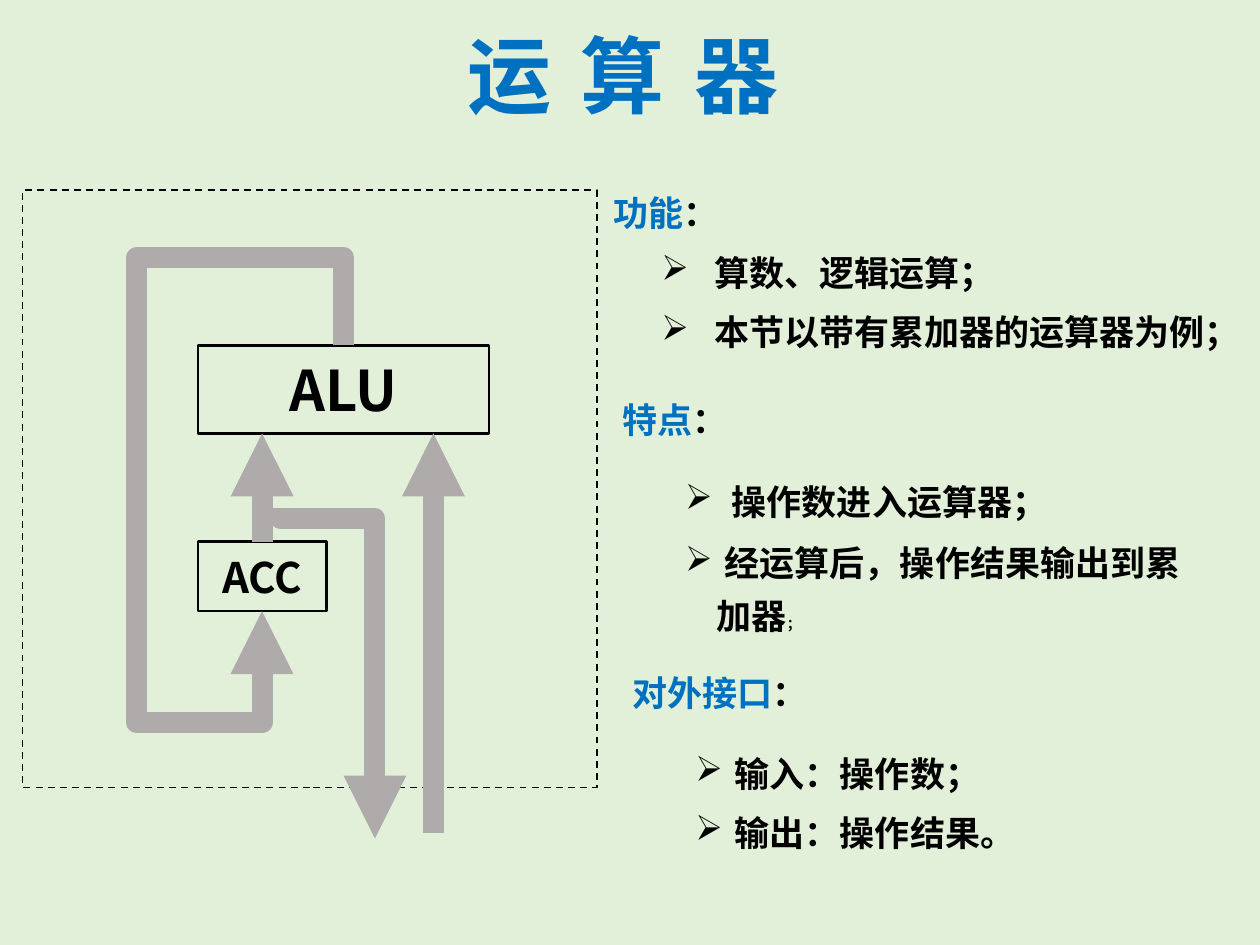
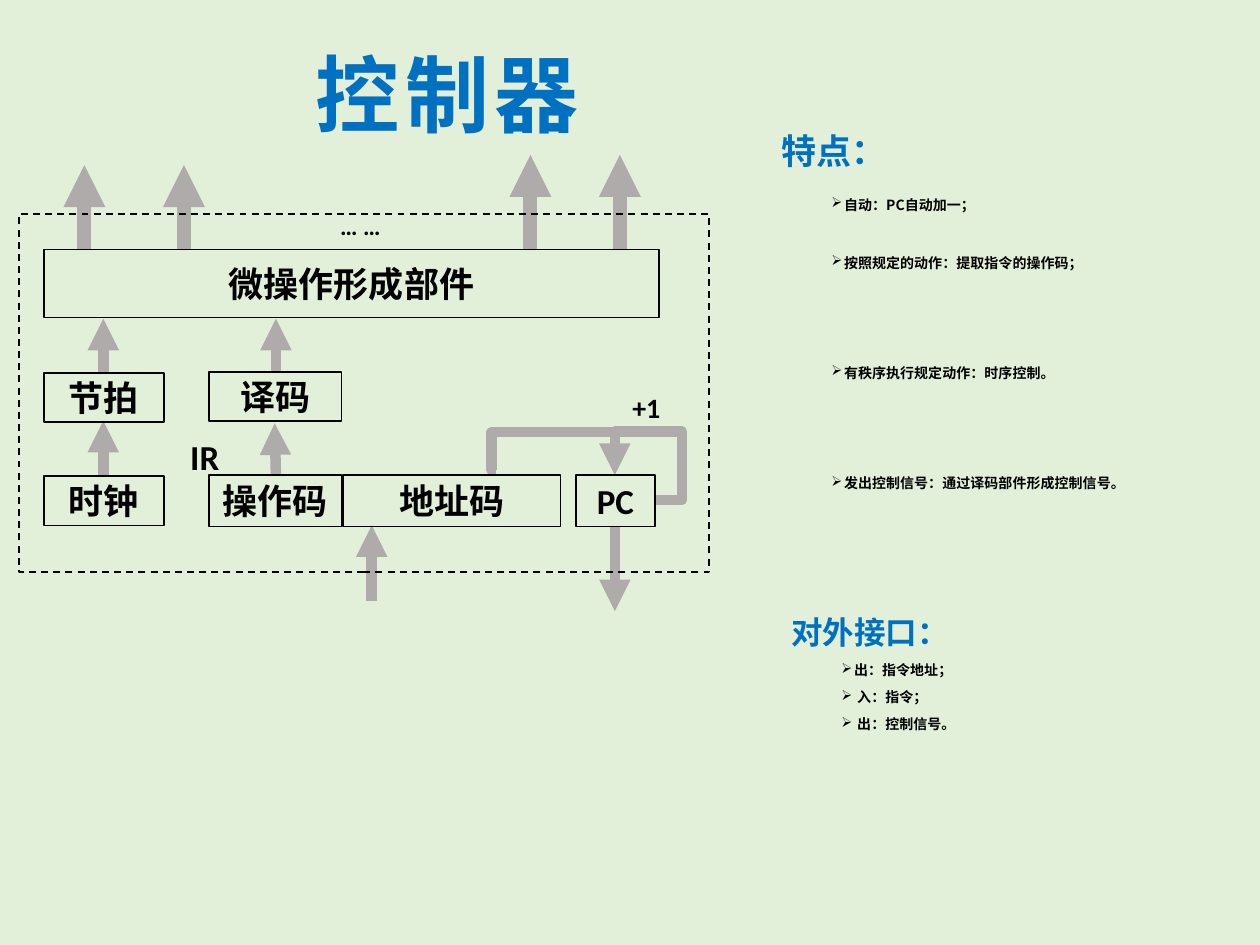
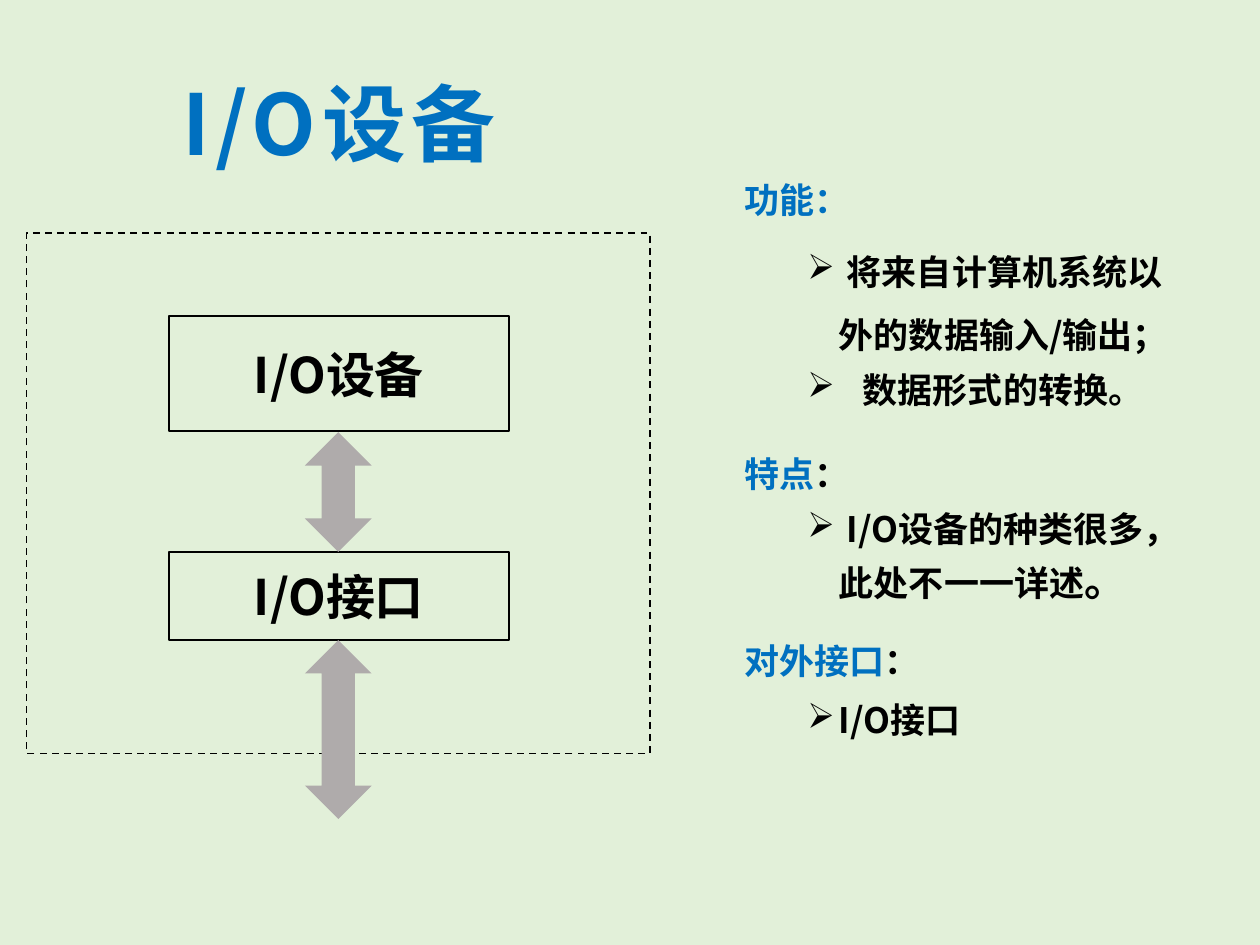
from lxml.etree import SubElement
from pptx import Presentation
from pptx.dml.color import RGBColor
from pptx.enum.dml import MSO_LINE_DASH_STYLE as Dash
from pptx.enum.shapes import MSO_CONNECTOR as Conn, MSO_SHAPE as Shape
from pptx.enum.text import MSO_ANCHOR as Anchor, PP_ALIGN as Align
from pptx.oxml import parse_xml
from pptx.oxml.ns import nsdecls, qn
from pptx.util import Inches, Pt

BACK, BLUE, BLACK, GRAY, PALE = "E2F0D9", "0070C0", "000000", "AFABAB", "F5F7FB"
CJK, LATIN = "Noto Sans CJK SC", "Calibri"


def head(text, size=20, colon="", line=0.9, after=0):
    runs = [(text, size, BLUE)] + ([(colon, size, BLACK)] if colon else [])
    return dict(runs=runs, line=line, after=after)


def item(text, size=20, line=1.1, before=5, left=0.75, hang=0.25, gap=0.0, end=None):
    runs = [(text, size, BLACK)] + ([end + (BLACK,)] if end else [])
    return dict(runs=runs, line=line, before=before, left=left + gap, hang=hang + gap)


def alu_item(text):
    return item(text, line=Pt(30), before=4, left=0.61, hang=0.23, gap=0.19)


def small_item(text, line=1.3, before=12):
    return item(text, 8, line, before, 0.5, 0.1)


ALU = dict(
    title=("运 算 器", (3.47, 0.2, 2.95, 0.87)),
    notes=[
        ((4.77, 1.39, 5.04, 2.03), [
            head("功能", colon="：", line=Pt(30)),
            alu_item("算数、逻辑运算；"),
            alu_item("本节以带有累加器的运算器为例；")]),
        ((4.84, 3.03, 4.86, 1.83), [
            head("特点", colon="：", line=Pt(30), after=12),
            item("操作数进入运算器；", line=Pt(30), gap=0.12),
            item(" 经运算后，操作结果输出到累加器", line=Pt(30), end=("；", 8))]),
        ((4.92, 5.32, 3.96, 1.82), [
            head("对外接口", colon="：", after=12),
            item(" 输入：操作数；", line=1.2),
            item(" 输出：操作结果。", line=1.2)]),
    ],
    frame=(0.18, 1.51, 4.56, 4.74),
    boxes=[("ACC", (1.57, 4.3, 1.02, 0.55), 24), ("ALU", (1.57, 2.74, 2.31, 0.7), 32)],
    arrows=[((2.08, 4.3), (2.08, 3.44)), ((3.44, 6.61), (3.44, 3.44))],
    elbows=[
        ("bentConnector5", (1.35, 3.47, 2.11, 0.65), 270, "HV", (-0.33, 2.53, 1.42), True),
        ("bentConnector3", (1.29, 4.97, 2.62, 0.75), 270, "H", (0.03,), True)],
)

CONTROL = dict(
    title=("控制器", (1.75, 0.36, 3.6, 0.85)),
    notes=[
        ((6.1, 1.02, 3.62, 0.42), [head("特点：")]),
        ((6.1, 1.47, 3.62, 0.44), [small_item("自动：PC自动加一；")]),
        ((6.1, 1.93, 3.62, 0.96), [small_item("按照规定的动作：提取指令的操作码；")]),
        ((6.1, 2.8, 3.62, 0.88), [small_item("有秩序执行规定动作：时序控制。")]),
        ((6.1, 3.68, 3.62, 0.96), [small_item("发出控制信号：通过译码部件形成控制信号。")]),
        ((6.18, 4.85, 3.46, 1.81), [head("对外接口：", 18)] + [
            small_item(t, 1.1, 5) for t in ("出：指令地址；", " 入：指令；", " 出：控制信号。")]),
    ],
    frame=(0.15, 1.7, 5.48, 2.84),
    boxes=[
        ("微操作形成部件", (0.35, 1.98, 4.88, 0.54)),
        ("节拍", (0.35, 2.96, 0.95, 0.39)),
        ("时钟", (0.35, 3.78, 0.95, 0.39)),
        ("译码", (1.66, 2.95, 1.05, 0.39)),
        ("操作码", (1.66, 3.77, 1.05, 0.41)),
        ("地址码", (2.72, 3.77, 1.73, 0.41)),
        ("PC", (4.57, 3.77, 0.63, 0.41))],
    labels=[
        ("… …", (2.36, 1.66, 1, 0.27), 14),
        ("+1", (4.63, 3.1, 1, 0.27), 16),
        ("IR", (1.35, 3.43, 0.55, 0.39), 20)],
    signals=[(0.67, 1.31), (1.46, 1.31), (4.21, 1.23), (4.92, 1.23)],
    arrows=[
        ((0.82, 2.96), (0.82, 2.53)),
        ((0.82, 3.77), (0.82, 3.34)),
        ((2.19, 2.96), (2.19, 2.53)),
        ((2.19, 3.77), (2.18, 3.36)),
        ((2.95, 4.77), (2.95, 4.17)),
        ((4.88, 4.18), (4.88, 4.85))],
    elbows=[
        ("bentConnector4", (4.88, 3.77, 0.31, 0.2), 0, "HV", (-0.72, 2.72), True),
        ("bentConnector3", (3.94, 3.43, 0.94, 0.3), 0, "V", (-0.04,), False)],
)

DEVICES = dict(
    title=("I/O设备", (0.89, 0.59, 3.6, 0.85)),
    notes=[
        ((5.81, 1.2, 3.77, 2.46), [
            head("功能：", line=1.5),
            item(" 将来自计算机系统以外的数据输入/输出；", line=1.5),
            item("数据形式的转换。", gap=0.19)]),
        ((5.81, 3.58, 3.77, 1.43), [
            head("特点", colon="："),
            item(" I/O设备的种类很多，此处不一一详述", end=("。", 24))]),
        ((5.81, 5.06, 3.77, 1.82), [
            head("对外接口", colon="："),
            item("I/O接口", line=1.2)]),
    ],
    frame=(0.21, 1.85, 4.95, 4.13),
    boxes=[("I/O设备", (1.34, 2.51, 2.7, 0.91)), ("I/O接口", (1.34, 4.38, 2.7, 0.7))],
    links=[(2.42, 3.43, 0.53, 0.95), (2.42, 5.08, 0.53, 1.42)],
)


def rgb(color):
    return RGBColor.from_string(color)


def inches(box):
    return [Inches(v) for v in box]


def add_run(p, text, size, color, font=CJK):
    r = p.add_run()
    r.text = text
    f = r.font
    f.size, f.bold, f.name = Pt(size), True, font
    f.color.rgb = rgb(color)
    r._r.rPr.find(qn("a:latin")).addnext(
        parse_xml(f'<a:ea {nsdecls("a")} typeface="{CJK}"/>'))
    return r


def center_text(sp, text, size, color=BLACK, font=CJK):
    tf = sp.text_frame
    tf.word_wrap = True
    tf.margin_left = tf.margin_right = 0
    tf.vertical_anchor = Anchor.MIDDLE
    p = tf.paragraphs[0]
    p.alignment = Align.CENTER
    return add_run(p, text, size, color, font)


def add_title(slide, text, box):
    sp = slide.shapes.add_textbox(*inches(box))
    r = center_text(sp, text, 48, BLUE)
    sp.text_frame.paragraphs[0].line_spacing = 0.9
    rPr = r._r.rPr
    rPr.set("spc", "300")
    rPr.insert(0, parse_xml(
        f'<a:ln {nsdecls("a")} w="15875"><a:solidFill><a:srgbClr val="{PALE}"/></a:solidFill></a:ln>'))
    rPr.find(qn("a:solidFill")).addnext(parse_xml(
        f'<a:effectLst {nsdecls("a")}><a:outerShdw blurRad="25400" dist="25400" dir="2700000">'
        f'<a:srgbClr val="{BLUE}"><a:alpha val="40000"/></a:srgbClr></a:outerShdw></a:effectLst>'))


def add_notes(slide, box, paras):
    tf = slide.shapes.add_textbox(*inches(box)).text_frame
    tf.word_wrap = True
    for i, para in enumerate(paras):
        p = tf.add_paragraph() if i else tf.paragraphs[0]
        p.line_spacing = para["line"]
        p.space_before = Pt(para.get("before", 0) if i else 0)
        p.space_after = Pt(para.get("after", 0))
        if "left" in para:
            p.level = 1
            pPr = p._p.get_or_add_pPr()
            pPr.set("marL", str(Inches(para["left"])))
            pPr.set("indent", str(-Inches(para["hang"])))
            SubElement(pPr, qn("a:buChar")).set("char", "➢")
        for run in para["runs"]:
            add_run(p, *run)


def add_shape(slide, kind, box, fill=None, width=None):
    sp = slide.shapes.add_shape(kind, *inches(box))
    sp.shadow.inherit = False
    if fill:
        sp.fill.solid()
        sp.fill.fore_color.rgb = rgb(fill)
    else:
        sp.fill.background()
    if width:
        sp.line.color.rgb = rgb(BLACK)
        sp.line.width = Pt(width)
    else:
        sp.line.fill.background()
    return sp


def add_frame(slide, box):
    add_shape(slide, Shape.RECTANGLE, box, width=1).line.dash_style = Dash.DASH


def add_box(slide, text, box, size, font=CJK, width=1):
    sp = add_shape(slide, Shape.RECTANGLE, box, width=width)
    center_text(sp, text, size, font=font)


def add_arrow(slide, start, end, width, kind=Conn.STRAIGHT, arrow=True):
    cn = slide.shapes.add_connector(kind, *inches(start + end))
    cn.line.color.rgb = rgb(GRAY)
    cn.line.width = Pt(width)
    if arrow:
        SubElement(cn.line._get_or_add_ln(), qn("a:tailEnd")).set("type", "triangle")
    SubElement(cn._element.spPr, qn("a:effectLst"))
    return cn


def add_elbow(slide, preset, box, turn, flips, bends, arrow, width):
    x, y, w, h = box
    cn = add_arrow(slide, (x, y), (x + w, y + h), width, Conn.ELBOW, arrow)
    cn.rotation = turn if hasattr(cn, "rotation") else 0
    spPr = cn._element.spPr
    xfrm = spPr.find(qn("a:xfrm"))
    xfrm.set("rot", str(turn * 60000))
    for axis in flips:
        xfrm.set("flip" + axis, "1")
    geom = spPr.find(qn("a:prstGeom"))
    geom.set("prst", preset)
    guides = geom.find(qn("a:avLst"))
    for i, bend in enumerate(bends, 1):
        gd = SubElement(guides, qn("a:gd"))
        gd.set("name", f"adj{i}")
        gd.set("fmla", f"val {round(bend * 100000)}")


def start_slide(prs, content):
    slide = prs.slides.add_slide(prs.slide_layouts[6])
    slide.background.fill.solid()
    slide.background.fill.fore_color.rgb = rgb(BACK)
    add_title(slide, *content["title"])
    for box, paras in content["notes"]:
        add_notes(slide, box, paras)
    return slide


def add_flows(slide, content, width):
    for start, end in content["arrows"]:
        add_arrow(slide, start, end, width)
    for elbow in content["elbows"]:
        add_elbow(slide, *elbow, width)


def alu_slide(prs):
    slide = start_slide(prs, ALU)
    add_frame(slide, ALU["frame"])
    for text, box, size in ALU["boxes"]:
        add_box(slide, text, box, size, width=1.5)
    add_flows(slide, ALU, 12)


def control_slide(prs):
    slide = start_slide(prs, CONTROL)
    for x, top in CONTROL["signals"]:
        add_arrow(slide, (x, 1.98), (x, top), 8)
    add_flows(slide, CONTROL, 6)
    for text, box in CONTROL["boxes"]:
        add_box(slide, text, box, 20, LATIN)
    for text, box, size in CONTROL["labels"]:
        center_text(slide.shapes.add_textbox(*inches(box)), text, size, font=LATIN)
    add_frame(slide, CONTROL["frame"])


def devices_slide(prs):
    slide = start_slide(prs, DEVICES)
    add_frame(slide, DEVICES["frame"])
    for text, box in DEVICES["boxes"]:
        add_box(slide, text, box, 28)
    for box in DEVICES["links"]:
        add_shape(slide, Shape.UP_DOWN_ARROW, box, GRAY)


def main():
    prs = Presentation()
    prs.slide_width, prs.slide_height = Inches(10), Inches(7.5)
    alu_slide(prs)
    control_slide(prs)
    devices_slide(prs)
    prs.save("out.pptx")


if __name__ == "__main__":
    main()
